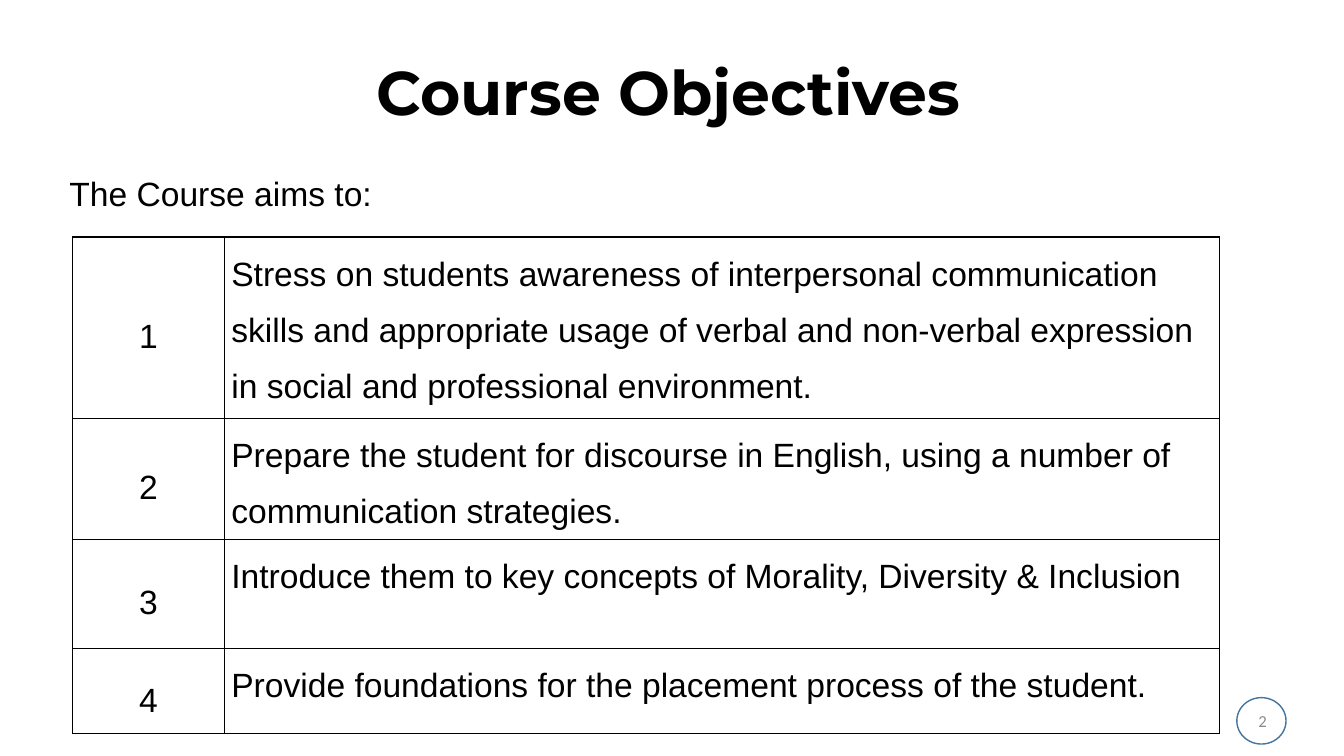
from dataclasses import dataclass
from lxml import etree
from pptx import Presentation
from pptx.dml.color import RGBColor
from pptx.enum import shapes, text
from pptx.oxml import ns
from pptx.util import Cm, Pt


@dataclass
class Theme:
    ink: str = "000000"
    grey: str = "8C8C8C"
    ring: str = "43739E"
    head: str = "Montserrat"
    body: str = "Arial"
    foot: str = "Calibri"
    big: int = 44
    mid: int = 24
    small: int = 12


theme = Theme()
align = text.PP_ALIGN
anchor = text.MSO_ANCHOR


def style(frame, font, size, color, side, space=1.0, bold=False):
    for para in frame.paragraphs:
        para.alignment = side
        para.line_spacing = space
        for run in para.runs:
            run.font.name = font
            run.font.size = Pt(size)
            run.font.bold = bold
            run.font.color.rgb = RGBColor.from_string(color)


def border(cell, color):
    props = cell._tc.get_or_add_tcPr()
    for index, edge in enumerate(("lnL", "lnR", "lnT", "lnB")):
        line = etree.Element(ns.qn("a:" + edge), w=str(Pt(1)))
        fill = etree.SubElement(line, ns.qn("a:solidFill"))
        etree.SubElement(fill, ns.qn("a:srgbClr"), val=color)
        props.insert(index, line)


deck = Presentation()
deck.slide_width, deck.slide_height = Cm(33.87), Cm(19.05)
slide = deck.slides.add_slide(deck.slide_layouts[5])

# Page number
page = slide.shapes.add_textbox(Cm(24.56), Cm(17.65), Cm(7.62), Cm(1.02))
frame = page.text_frame
frame.word_wrap = True
frame.vertical_anchor = anchor.MIDDLE
frame.text = "2"
style(frame, theme.foot, theme.small, theme.grey, align.RIGHT)

# Title
title = slide.shapes.title
title.left, title.top, title.width, title.height = Cm(6), Cm(1.45), Cm(21.7), Cm(3.63)
frame = title.text_frame
frame.vertical_anchor = anchor.TOP
frame.text = "Course Objectives"
style(frame, theme.head, theme.big, theme.ink, align.CENTER, 0.9, True)

# Ring around the page number
ring = slide.shapes.add_shape(
    shapes.MSO_SHAPE.OVAL, Cm(31.17), Cm(17.58), Cm(1.24), Cm(1.17))
ring.shadow.inherit = False
ring.fill.background()
ring.line.color.rgb = RGBColor.from_string(theme.ring)
ring.line.width = Pt(1)

# Lead-in
lead = slide.shapes.add_textbox(Cm(1.5), Cm(4.22), Cm(8.2), Cm(1.27))
frame = lead.text_frame
frame.word_wrap = False
frame.text = "The Course aims to:"
style(frame, theme.body, theme.mid, theme.ink, align.LEFT)

# Objectives table
goals = [
    "Stress on students awareness of interpersonal communication skills and "
    "appropriate usage of verbal and non-verbal expression in social and "
    "professional environment.",
    "Prepare the student for discourse in English, using a number of "
    "communication strategies.",
    "Introduce them to key concepts of Morality, Diversity & Inclusion",
    "Provide foundations for the placement process of the student.",
]
heights = [2.74, 2.74, 2.74, 2.16]
widths = [3.82, 25.09]
grid = slide.shapes.add_table(
    len(goals), 2, Cm(1.83), Cm(5.97), Cm(sum(widths)), Cm(sum(heights))).table
grid.first_row = grid.horz_banding = False
for column, width in zip(grid.columns, widths):
    column.width = Cm(width)

looks = [(align.CENTER, anchor.MIDDLE), (align.LEFT, anchor.TOP)]
for index, goal in enumerate(goals):
    grid.rows[index].height = Cm(heights[index])
    pair = (str(index + 1), goal)
    for cell, words, (side, place) in zip(grid.rows[index].cells, pair, looks):
        cell.text_frame.text = words
        cell.vertical_anchor = place
        cell.margin_left = cell.margin_right = Cm(0.18)
        cell.margin_top = cell.margin_bottom = 0
        cell.fill.background()
        border(cell, theme.ink)
        style(cell.text_frame, theme.body, theme.mid, theme.ink, side, 1.5)

deck.save("out.pptx")
